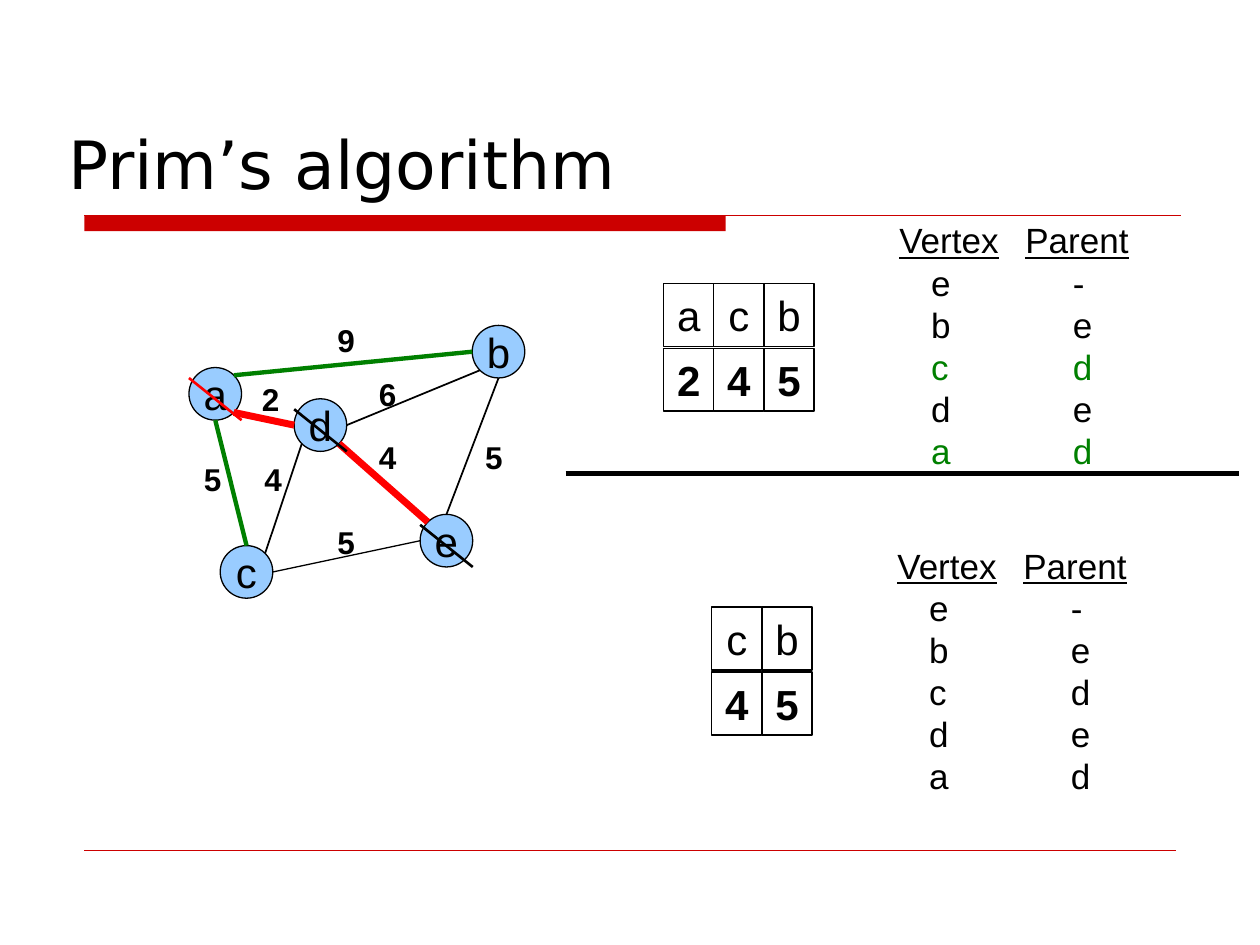
from dataclasses import dataclass
from math import sqrt

from lxml.etree import SubElement
from pptx import Presentation
from pptx.dml.color import RGBColor
from pptx.enum.shapes import MSO_CONNECTOR as Connector, MSO_SHAPE as Shape
from pptx.enum.text import MSO_ANCHOR as Anchor, MSO_AUTO_SIZE as AutoSize, PP_ALIGN as Align
from pptx.oxml.ns import qn
from pptx.util import Cm, Pt


@dataclass(frozen=True)
class Theme:
    black: str = "000000"
    accent: str = "CC0000"
    node: str = "99CCFF"
    chosen: str = "FF0000"
    updated: str = "008000"
    title_font: str = "DejaVu Sans"
    body_font: str = "Arial"
    title_size: float = 38
    node_size: float = 24
    list_size: float = 20
    weight_size: float = 18


THEME = Theme()
RADIUS = 0.53
CELL_W, CELL_H, ROW_PITCH = 1.01, 1.27, 1.31
TAB_STOPS = (0.64, 2.54, 3.5)
DIAGONAL = sqrt(0.5)
SIDES = {
    "N": (0, -1), "S": (0, 1), "W": (-1, 0), "E": (1, 0),
    "NE": (DIAGONAL, -DIAGONAL), "NW": (-DIAGONAL, -DIAGONAL),
    "SE": (DIAGONAL, DIAGONAL), "SW": (-DIAGONAL, DIAGONAL),
}
NODES = {"a": (4.34, 7.94), "c": (4.97, 11.53), "e": (9, 10.9), "d": (6.46, 8.57), "b": (10.05, 7.09)}
EDGES = [
    ("a", "NE", "b", "W", THEME.updated, 2.5),
    ("d", "E", "b", "SW", THEME.black, 1),
    ("a", "S", "c", "N", THEME.updated, 2.5),
    ("a", "SE", "d", "W", THEME.chosen, 4),
    ("c", "NE", "d", "SW", THEME.black, 1),
    ("d", "SE", "e", "NW", THEME.chosen, 4),
    ("b", "S", "e", "N", THEME.black, 1),
    ("e", "W", "c", "E", THEME.black, 0.75),
]
WEIGHTS = [
    ("2", 5.03, 7.54), ("4", 5.08, 9.14), ("5", 3.86, 9.14), ("9", 6.55, 6.35),
    ("6", 7.39, 7.44), ("4", 7.39, 8.71), ("5", 6.55, 10.41), ("5", 9.53, 8.71),
]
STRIKES = {"e": THEME.black, "a": THEME.chosen, "d": THEME.black}
PARENTS = {"e": "-", "b": "e", "c": "d", "d": "e", "a": "d"}


class SlideBuilder:
    def __init__(self, slide, theme):
        self.slide = slide
        self.theme = theme

    def format(self, p, size, color=None, bold=False, font=None):
        p.font.name = font or self.theme.body_font
        p.font.size = Pt(size)
        p.font.bold = bold
        p.font.color.rgb = RGBColor.from_string(color or self.theme.black)

    def title(self, text, x, y, w, h):
        sp = self.slide.shapes.title
        sp.left, sp.top, sp.width, sp.height = Cm(x), Cm(y), Cm(w), Cm(h)
        tf = sp.text_frame
        tf.text = text
        tf.auto_size = AutoSize.NONE
        tf.vertical_anchor = Anchor.BOTTOM
        p = tf.paragraphs[0]
        p.alignment = Align.LEFT
        self.format(p, self.theme.title_size, font=self.theme.title_font)

    def line(self, x1, y1, x2, y2, color, width):
        sp = self.slide.shapes.add_connector(Connector.STRAIGHT, Cm(x1), Cm(y1), Cm(x2), Cm(y2))
        sp.line.color.rgb = RGBColor.from_string(color)
        sp.line.width = Pt(width)
        SubElement(sp._element.spPr, qn("a:effectLst"))

    def shape(self, kind, x, y, w, h, fill=None, outline=True, text="", bold=False):
        sp = self.slide.shapes.add_shape(kind, Cm(x), Cm(y), Cm(w), Cm(h))
        sp.shadow.inherit = False
        if fill:
            sp.fill.solid()
            sp.fill.fore_color.rgb = RGBColor.from_string(fill)
        else:
            sp.fill.background()
        if outline:
            sp.line.color.rgb = RGBColor.from_string(self.theme.black)
            sp.line.width = Pt(0.75)
        else:
            sp.line.fill.background()
        if text:
            tf = sp.text_frame
            tf.text = text
            tf.word_wrap = False
            tf.vertical_anchor = Anchor.MIDDLE
            p = tf.paragraphs[0]
            p.alignment = Align.CENTER
            self.format(p, self.theme.node_size, bold=bold)

    def text(self, x, y, w, h):
        tf = self.slide.shapes.add_textbox(Cm(x), Cm(y), Cm(w), Cm(h)).text_frame
        tf.word_wrap = False
        tf.auto_size = AutoSize.SHAPE_TO_FIT_TEXT
        return tf

    def node(self, name):
        x, y = NODES[name]
        self.shape(Shape.OVAL, x - RADIUS, y - RADIUS, 2 * RADIUS, 2 * RADIUS, self.theme.node, text=name)

    def edge(self, start, start_side, end, end_side, color, width):
        points = []
        for name, side in ((start, start_side), (end, end_side)):
            points += [c + RADIUS * d for c, d in zip(NODES[name], SIDES[side])]
        self.line(*points, color, width)

    def strike(self, name, color):
        x, y = NODES[name]
        self.line(x - RADIUS, y - 0.32, x + RADIUS, y + RADIUS, color, 1.5)

    def weight(self, value, x, y):
        p = self.text(x, y, 0.86, 1.02).paragraphs[0]
        p.text = value
        self.format(p, self.theme.weight_size, bold=True)

    def queue(self, x, y, keys):
        for col, (vertex, key) in enumerate(keys.items()):
            for row, value in enumerate((vertex, key)):
                self.shape(Shape.RECTANGLE, x + col * CELL_W, y + row * ROW_PITCH,
                           CELL_W, CELL_H, text=value, bold=row == 1)

    def parent_list(self, x, y, highlighted=""):
        tf = self.text(x, y, 5.13, 5.33)
        rows = ["Vertex\tParent"] + [f"\t{v}\t\t{parent}" for v, parent in PARENTS.items()]
        for i, (vertex, row) in enumerate(zip([None, *PARENTS], rows)):
            p = tf.add_paragraph() if i else tf.paragraphs[0]
            p.text = row
            color = self.theme.updated if vertex and vertex in highlighted else self.theme.black
            self.format(p, self.theme.list_size, color)
            p.font.underline = i == 0
            pPr = p._p.get_or_add_pPr()
            tabs = pPr.makeelement(qn("a:tabLst"))
            for stop in TAB_STOPS:
                SubElement(tabs, qn("a:tab"), pos=str(Cm(stop)), algn="l")
            pPr.insert(0, tabs)


def main():
    prs = Presentation()
    prs.slide_width, prs.slide_height = Cm(25.4), Cm(19.05)
    s = SlideBuilder(prs.slides.add_slide(prs.slide_layouts[5]), THEME)

    s.shape(Shape.RECTANGLE, 1.7, 4.35, 12.93, 0.31, THEME.accent, outline=False)
    s.line(1.7, 4.35, 23.8, 4.35, THEME.accent, 0.75)
    s.line(1.7, 17.15, 23.7, 17.15, THEME.accent, 0.25)
    s.title("Prim’s algorithm", 1.12, 2.31, 24.28, 1.9)

    for name in NODES:
        s.node(name)
    for edge in EDGES:
        s.edge(*edge)
    for weight in WEIGHTS:
        s.weight(*weight)
    for name, color in STRIKES.items():
        s.strike(name, color)

    s.line(11.4, 9.55, 24.97, 9.55, THEME.black, 3)
    s.queue(13.38, 5.71, {"a": "2", "c": "4", "b": "5"})
    s.parent_list(17.88, 4.29, highlighted="ca")
    s.queue(14.35, 12.24, {"c": "4", "b": "5"})
    s.parent_list(17.84, 10.85)

    prs.save("out.pptx")


if __name__ == "__main__":
    main()
